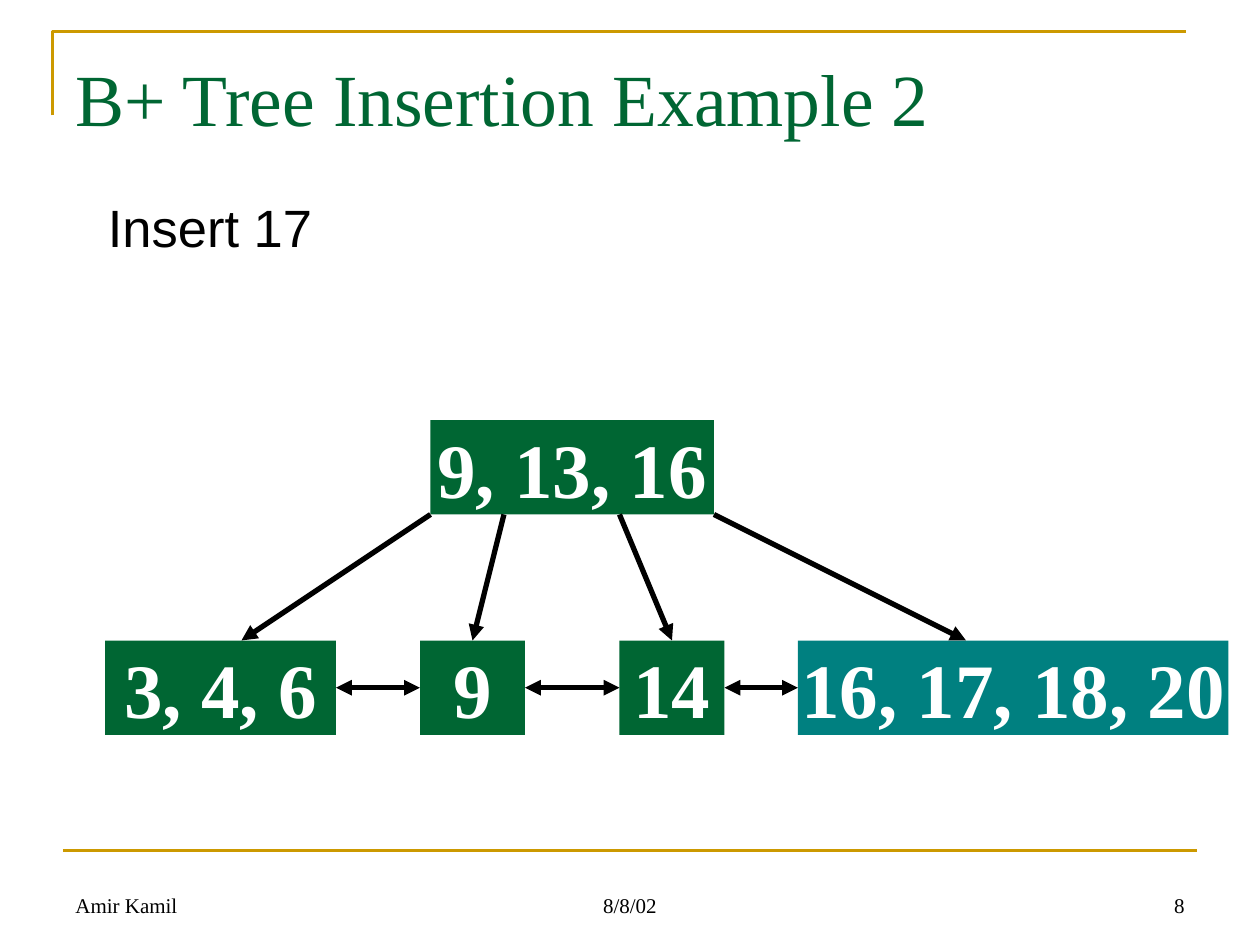
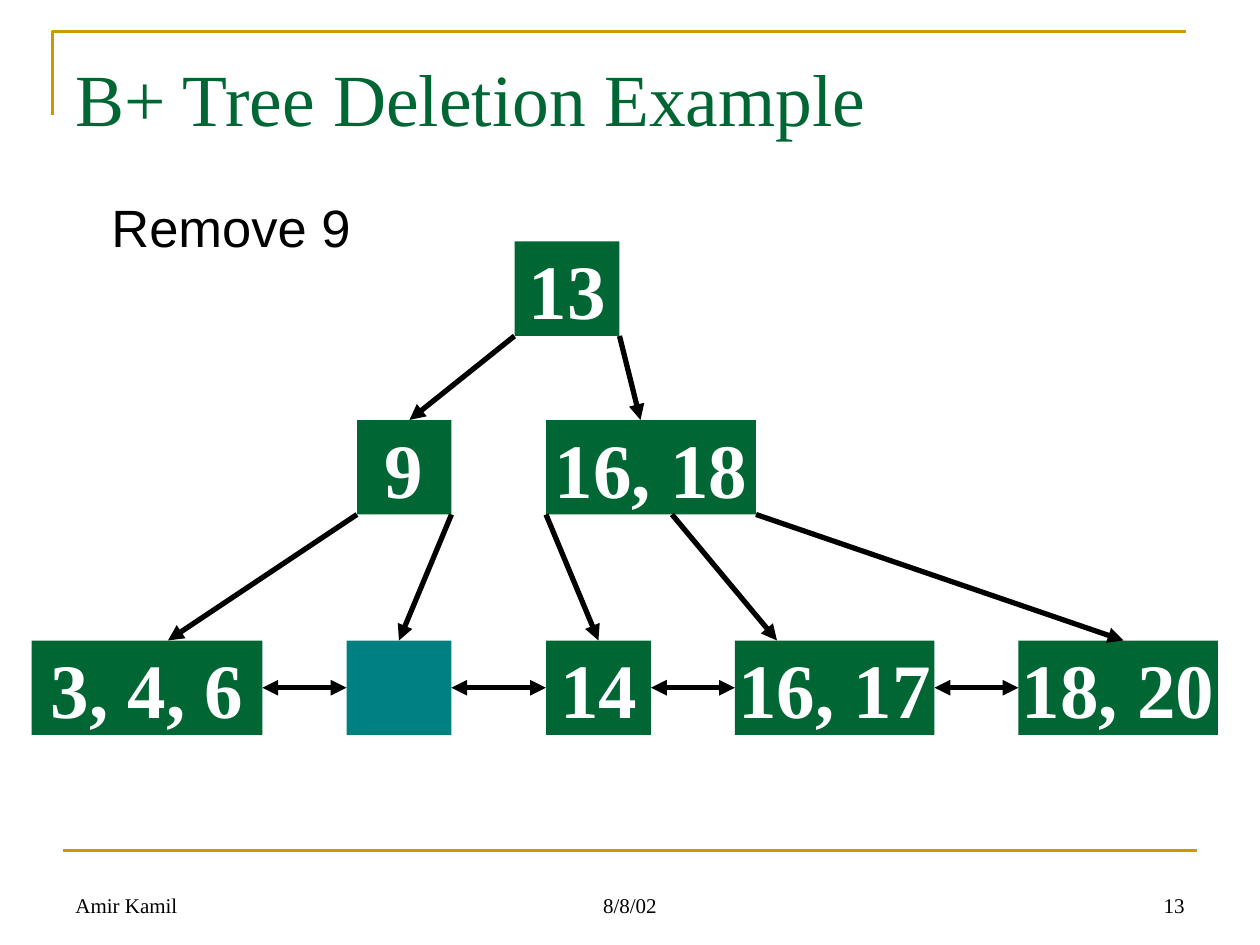
from lxml import etree
from pptx import Presentation
from pptx import util as u
from pptx.dml.color import RGBColor
from pptx.enum import shapes, text
from pptx.oxml import ns

GREEN = RGBColor(0x00, 0x66, 0x33)
TEAL = RGBColor(0x00, 0x80, 0x80)
GOLD = RGBColor(0xCC, 0x99, 0x00)
BLACK = RGBColor(0x00, 0x00, 0x00)
WHITE = RGBColor(0xFF, 0xFF, 0xFF)
SERIF, SANS = "Times New Roman", "Arial"
LEFT, CENTER, RIGHT = text.PP_ALIGN.LEFT, text.PP_ALIGN.CENTER, text.PP_ALIGN.RIGHT
COLUMNS, ROWS = 120, 90
NODE_HEIGHT = 9
ROOT_ROW, INNER_ROW, LEAF_ROW = 23, 40, 61


def grid(n):
    """Return the length of n grid units, 120 of which span the slide."""
    return u.Cm(25.4 * n / COLUMNS)


class TreeDeck:
    """Holds the deck style and the slide being drawn."""

    def __init__(self):
        self.prs = Presentation()
        self.prs.slide_width, self.prs.slide_height = grid(COLUMNS), grid(ROWS)
        self.s = None

    def slide(self, title, step, step_width, number):
        """Start a slide with its frame, title, step label and footer."""
        self.s = self.prs.slides.add_slide(self.prs.slide_layouts[6])
        self.corner((5, 11), (5, 3), (113, 3))
        self.line((6, 81), (114, 81), GOLD, 1.5)
        for words, x, w, align in (("Amir Kamil", 6, 28, LEFT),
                                   ("8/8/02", 41, 38, CENTER),
                                   (str(number), 86, 28, RIGHT)):
            self.label(words, x, 82, w, 6, 12, align=align, anchor=text.MSO_ANCHOR.BOTTOM)
        tf = self.label(title, 6, 3.6, 108, 15, 42, color=GREEN)
        tf.margin_top = u.Cm(0.3)
        self.label(step, 4, 18, step_width, 7.2, 30, font=SANS, align=CENTER)

    def set_words(self, tf, words, size, color, font=SERIF, align=LEFT, bold=False):
        """Set and format the only paragraph of a text frame."""
        p = tf.paragraphs[0]
        p.text = words
        p.alignment = align
        for r in p.runs:
            r.font.name, r.font.size, r.font.bold = font, u.Pt(size), bold
            r.font.color.rgb = color

    def label(self, words, x, y, w, h, size, color=BLACK, font=SERIF, align=LEFT,
              anchor=text.MSO_ANCHOR.TOP):
        """Add a wrapping text box and return its text frame."""
        tf = self.s.shapes.add_textbox(*map(grid, (x, y, w, h))).text_frame
        tf.word_wrap = True
        tf.vertical_anchor = anchor
        self.set_words(tf, words, size, color, font, align)
        return tf

    def corner(self, start, *points):
        """Add an open gold outline through the given points."""
        fb = self.s.shapes.build_freeform(*map(grid, start))
        fb.add_line_segments([tuple(map(grid, pt)) for pt in points], close=False)
        sp = fb.convert_to_shape()
        sp.shadow.inherit = False
        sp.fill.background()
        sp.line.color.rgb, sp.line.width = GOLD, u.Pt(1.5)

    def line(self, start, end, color=BLACK, width=3, ends=()):
        """Add a straight connector with triangles at the named ends."""
        c = self.s.shapes.add_connector(shapes.MSO_CONNECTOR.STRAIGHT,
                                        *map(grid, start + end))
        c.line.color.rgb, c.line.width = color, u.Pt(width)
        spPr = c.element.spPr
        for end_name in ends:
            etree.SubElement(spPr.find(ns.qn("a:ln")), ns.qn(end_name), type="triangle")
        etree.SubElement(spPr, ns.qn("a:effectLst"))
        return c

    def node(self, keys, x, row, width, color=GREEN):
        """Add a tree node and return it with its place on the grid."""
        sp = self.s.shapes.add_shape(shapes.MSO_SHAPE.RECTANGLE,
                                     *map(grid, (x, row, width, NODE_HEIGHT)))
        sp.shadow.inherit = False
        sp.fill.solid()
        sp.fill.fore_color.rgb = color
        sp.line.fill.background()
        tf = sp.text_frame
        tf.word_wrap = False
        tf.vertical_anchor = text.MSO_ANCHOR.MIDDLE
        self.set_words(tf, keys, 44, WHITE, align=CENTER, bold=True)
        return sp, x, row, width

    def leaves(self, *leaf_rows):
        """Add the leaf row, linking each leaf with the next."""
        nodes = [self.node(keys, x, LEAF_ROW, w, color) for keys, x, w, color in leaf_rows]
        y = LEAF_ROW + NODE_HEIGHT / 2
        for (a, x, _, w), (b, next_x, _, _) in zip(nodes, nodes[1:]):
            c = self.line((x + w, y), (next_x, y), ends=("a:headEnd", "a:tailEnd"))
            c.begin_connect(a, 3)
            c.end_connect(b, 1)
        return nodes

    def branch(self, parent, start_x, child, end_x):
        """Point from the bottom of a parent to the top of a child."""
        sp, x, row, width = child
        c = self.line((start_x, parent[2] + NODE_HEIGHT), (end_x, row), ends=("a:tailEnd",))
        if end_x == x + width / 2:
            c.end_connect(sp, 0)


def insertion(deck):
    """Draw the insertion slide."""
    deck.slide("B+ Tree Insertion Example 2", "Insert 17", 32, 8)
    root = deck.node("9, 13, 16", 41, INNER_ROW, 27)
    leaves = deck.leaves(("3, 4, 6", 10, 22, GREEN), ("9", 40, 10, GREEN),
                         ("14", 59, 10, GREEN), ("16, 17, 18, 20", 76, 41, TEAL))
    for leaf, start_x, end_x in zip(leaves, (41, 48, 59, 68), (23, 45, 64, 92)):
        deck.branch(root, start_x, leaf, end_x)


def deletion(deck):
    """Draw the deletion slide."""
    deck.slide("B+ Tree Deletion Example", "Remove 9", 36, 13)
    root = deck.node("13", 49, ROOT_ROW, 10)
    low = deck.node("9", 34, INNER_ROW, 9)
    high = deck.node("16, 18", 52, INNER_ROW, 20)
    leaves = deck.leaves(("3, 4, 6", 3, 22, GREEN), ("", 33, 10, TEAL),
                         ("14", 52, 10, GREEN), ("16, 17", 70, 19, GREEN),
                         ("18, 20", 97, 19, GREEN))
    deck.branch(root, 49, low, 39)
    deck.branch(root, 59, high, 61)
    parents = (low, low, high, high, high)
    for parent, leaf, start_x, end_x in zip(parents, leaves, (34, 43, 52, 64, 72),
                                            (16, 38, 57, 74, 107)):
        deck.branch(parent, start_x, leaf, end_x)


def main():
    """Build and save the deck."""
    deck = TreeDeck()
    insertion(deck)
    deletion(deck)
    deck.prs.save("out.pptx")


if __name__ == "__main__":
    main()
